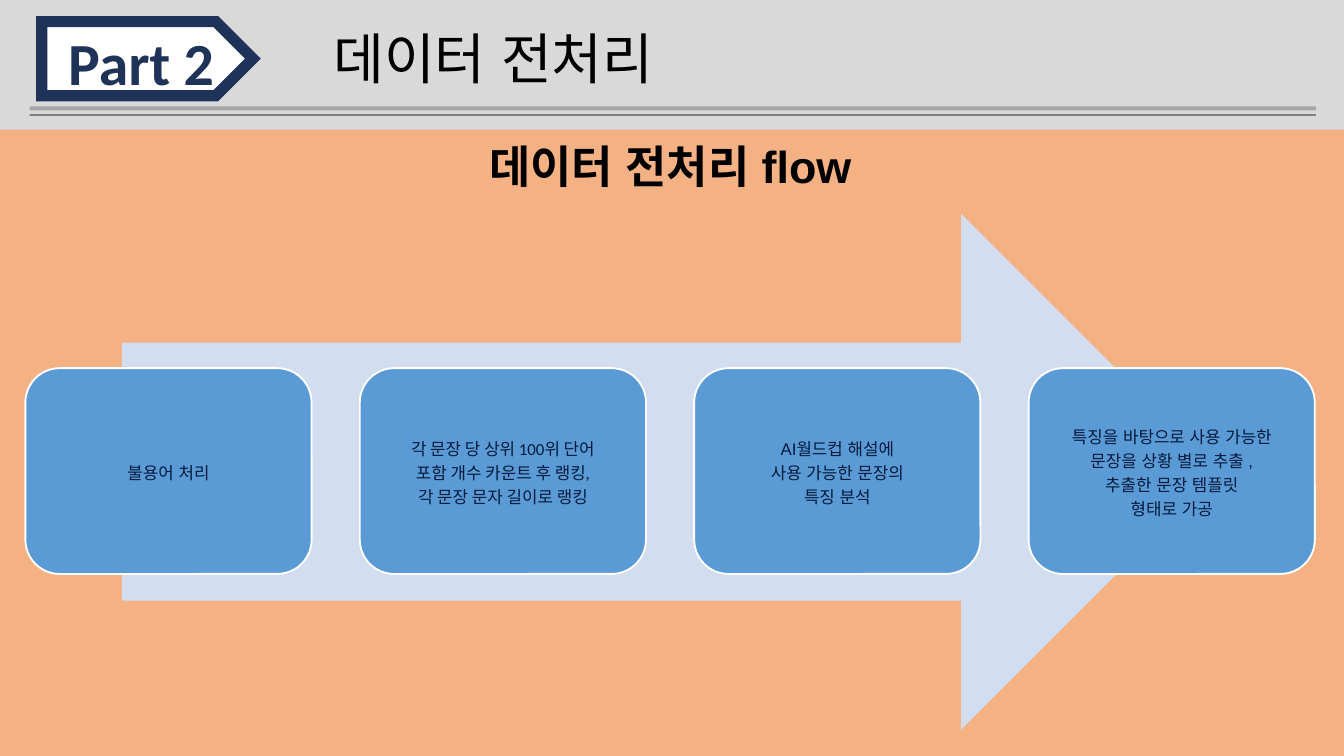
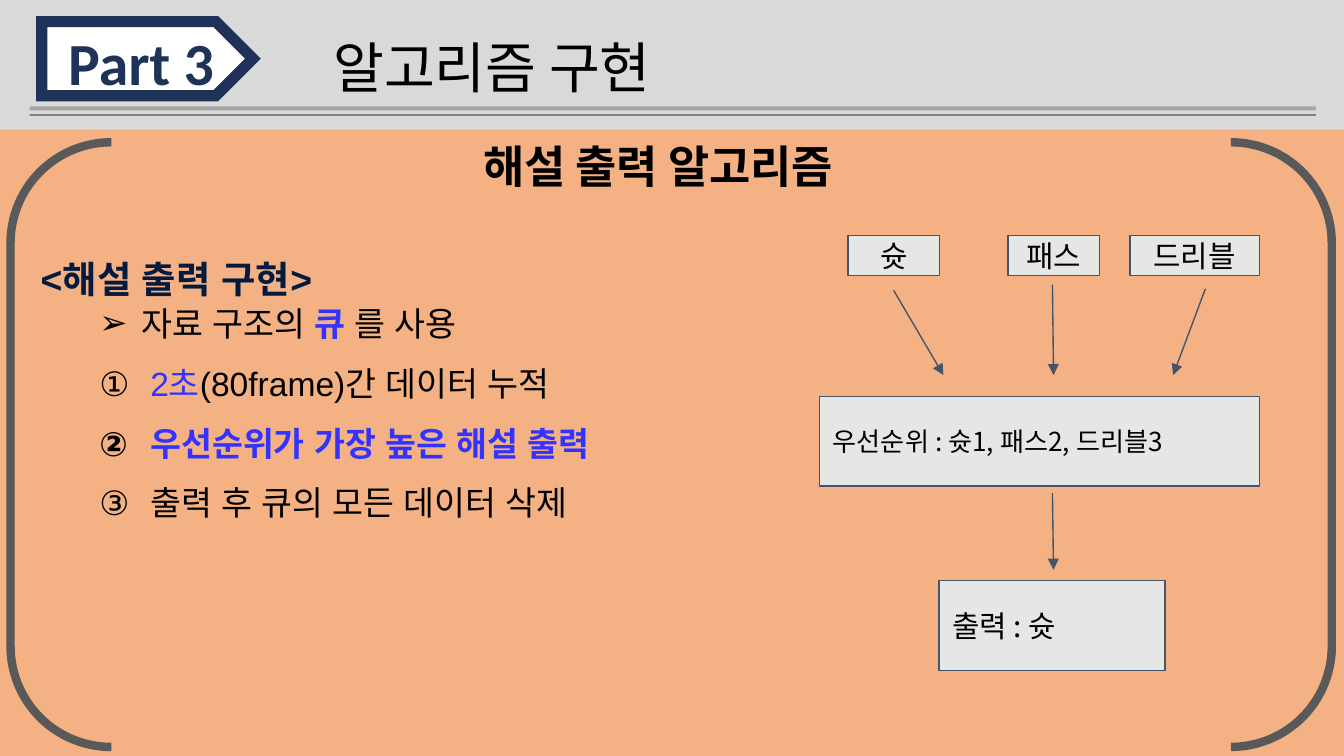
from lxml import etree
from pptx import Presentation
from pptx.dml.color import RGBColor
from pptx.enum.shapes import MSO_CONNECTOR, MSO_SHAPE
from pptx.enum.text import MSO_ANCHOR, MSO_AUTO_SIZE, PP_ALIGN
from pptx.oxml.ns import qn
from pptx.util import Cm, Pt

RECT, ROUNDED = MSO_SHAPE.RECTANGLE, MSO_SHAPE.ROUNDED_RECTANGLE
PENTAGON, BRACKETS = MSO_SHAPE.PENTAGON, MSO_SHAPE.DOUBLE_BRACKET
ARROW, STRAIGHT = MSO_SHAPE.RIGHT_ARROW, MSO_CONNECTOR.STRAIGHT
TOP, MIDDLE = MSO_ANCHOR.TOP, MSO_ANCHOR.MIDDLE
LEFT, CENTER = PP_ALIGN.LEFT, PP_ALIGN.CENTER
NO_AUTOFIT = MSO_AUTO_SIZE.NONE

GRAY, PEACH, NAVY, INK = "D9D9D9", "F4B183", "1F3359", "041A3E"
BLACK, WHITE, BLUE, SLATE = "000000", "FFFFFF", "3333FF", "44546A"
ARIAL, CALIBRI, NOTO = "Arial", "Calibri", "Noto Sans CJK KR"

WIDTH, HEIGHT, BAND_TOP = 25.4, 14.29, 2.45
RULES = [(2.01, 0.08, "A6A6A6"), (2.16, 0.03, "808080")]

PREPROCESSING = {
    "part": "Part 2", "title": "데이터 전처리", "title_font": ARIAL,
    "title_top": 0.58, "title_height": 1.37, "title_spacing": 0.8,
    "heading": "데이터 전처리 flow", "heading_font": ARIAL, "heading_left": 2.79,
}
ALGORITHM = {
    "part": "Part 3", "title": "알고리즘 구현", "title_font": CALIBRI,
    "title_top": 0.84, "title_height": 1.17, "title_spacing": 0.7,
    "heading": "해설 출력 알고리즘", "heading_font": CALIBRI, "heading_left": 2.56,
}

STEPS = [
    (ARIAL, ["불용어 처리"]),
    (CALIBRI, ["각 문장 당 상위 100위 단어", "포함 개수 카운트 후 랭킹,", "각 문장 문자 길이로 랭킹"]),
    (ARIAL, ["AI월드컵 해설에", "사용 가능한 문장의", "특징 분석"]),
    (ARIAL, ["특징을 바탕으로 사용 가능한", "문장을 상황 별로 추출 ,", "추출한 문장 템플릿", "형태로 가공"]),
]
STEP_LEFT, STEP_PITCH = 0.48, 6.32

IMPLEMENTATION = [
    (None, [("<해설 출력 구현>", INK, True)]),
    ("➢", [("자료 구조의 ", BLACK, False), ("큐 ", BLUE, True), ("를 사용", BLACK, False)]),
    ("number", [("2초", BLUE, False), ("(80frame)간 데이터 누적", BLACK, False)]),
    ("number", [("우선순위가 가장 높은 해설 출력", BLUE, True)]),
    ("number", [("출력 후 큐의 모든 데이터 삭제", BLACK, False)]),
]
LIST_STYLES = {
    None: (0, 0, 20, 23),
    "➢": (1.9, -0.79, 18, 23),
    "number": (2.07, -0.96, 18, 32),
}

FLOW_BOXES = [
    ("슛", 16.03, 4.45, 1.73, 0.76, 16, CENTER),
    ("패스", 19.05, 4.45, 1.73, 0.76, 16, CENTER),
    ("드리블", 21.36, 4.45, 2.44, 0.76, 16, CENTER),
    ("우선순위 : 슛1, 패스2, 드리블3", 15.49, 7.49, 8.31, 1.7, 14, LEFT),
    ("출력 : 슛", 17.75, 10.97, 4.27, 1.7, 16, LEFT),
]
FLOW_ARROWS = [
    (16.89, 5.49, 17.83, 7.09),
    (19.89, 5.38, 19.91, 7.09),
    (22.78, 5.46, 22.17, 7.09),
    (19.89, 9.32, 19.91, 10.77),
]


def rgb(color):
    return RGBColor.from_string(color)


def add_xml(parent, tag, **attributes):
    return etree.SubElement(parent, qn(tag), attributes)


def place(shape, left, top, width, height):
    shape.left, shape.top = Cm(left), Cm(top)
    shape.width, shape.height = Cm(width), Cm(height)


def style_run(run, font, size, color, bold=False):
    run.font.size, run.font.bold, run.font.name = Pt(size), bold, font
    run.font.color.rgb = rgb(color)
    add_xml(run._r.get_or_add_rPr(), "a:ea", typeface=font)


def write(shape, text, font, size, color, bold=False, align=LEFT, spacing=None):
    shape.text_frame.text = text
    for paragraph in shape.text_frame.paragraphs:
        paragraph.alignment = align
        paragraph.line_spacing = spacing
        for run in paragraph.runs:
            style_run(run, font, size, color, bold)


def add_block(slide, kind, box, fill=None, line=None, line_width=0.75):
    block = slide.shapes.add_shape(kind, *map(Cm, box))
    block.shadow.inherit = False
    if fill:
        block.fill.solid()
        block.fill.fore_color.rgb = rgb(fill)
    else:
        block.fill.background()
    if line:
        block.line.color.rgb = rgb(line)
        block.line.width = Pt(line_width)
    else:
        block.line.fill.background()
    return block


def set_frame(shape, anchor, side=0.25, edge=0.13, wrap=True):
    frame = shape.text_frame
    frame.word_wrap, frame.auto_size, frame.vertical_anchor = wrap, NO_AUTOFIT, anchor
    frame.margin_left = frame.margin_right = Cm(side)
    frame.margin_top = frame.margin_bottom = Cm(edge)


def add_label(slide, box, text, font, size, color, align, wrap=True):
    label = slide.shapes.add_textbox(*map(Cm, box))
    set_frame(label, TOP, wrap=wrap)
    write(label, text, font, size, color, True, align)


def add_page(prs, layout, content):
    slide = prs.slides.add_slide(prs.slide_layouts[layout])
    slide.background.fill.solid()
    slide.background.fill.fore_color.rgb = rgb(GRAY)
    for top, height, color in RULES:
        add_block(slide, RECT, (0.56, top, 24.31, height), color)
    add_block(slide, RECT, (0, BAND_TOP, WIDTH, HEIGHT - BAND_TOP), PEACH)

    title = slide.shapes.title
    place(title, 6.05, content["title_top"], 18.24, content["title_height"])
    set_frame(title, TOP)
    write(title, content["title"], content["title_font"], 29.6, BLACK,
          spacing=content["title_spacing"])

    badge = add_block(slide, PENTAGON, (0.79, 0.41, 3.99, 1.4), WHITE, NAVY, 6)
    add_xml(badge.line._get_or_add_ln(), "a:miter", lim="800000")
    add_label(slide, (1.04, 0.35, 3.3, 1.63), content["part"], CALIBRI, 32, NAVY, LEFT, False)
    add_label(slide, (content["heading_left"], 2.49, 19.76, 1.27), content["heading"],
              content["heading_font"], 24, BLACK, CENTER)
    return slide


def add_steps(slide):
    add_block(slide, ARROW, (2.31, 4.04, 20.73, 9.75), "D2DEEF")
    for index, (font, lines) in enumerate(STEPS):
        box = (STEP_LEFT + index * STEP_PITCH, 6.96, 5.41, 3.89)
        card = add_block(slide, ROUNDED, box, "5B9BD5", WHITE, 1)
        set_frame(card, MIDDLE, 0.1, 0.1)
        write(card, "\n".join(lines), font, 9, INK, align=CENTER, spacing=Pt(12.9))


def add_bullet(paragraph, marker):
    left, indent, _, _ = LIST_STYLES[marker]
    properties = paragraph._p.get_or_add_pPr()
    properties.set("marL", str(Cm(left)))
    properties.set("indent", str(Cm(indent)))
    if marker is None:
        add_xml(properties, "a:buNone")
        return
    add_xml(add_xml(properties, "a:buClr"), "a:srgbClr", val=BLACK)
    add_xml(properties, "a:buFont", typeface=ARIAL)
    if marker == "number":
        add_xml(properties, "a:buAutoNum", type="circleNumDbPlain")
    else:
        add_xml(properties, "a:buChar", char=marker)


def add_implementation(slide):
    body = slide.placeholders[1]
    slide.shapes._spTree.append(body._element)
    place(body, 0.77, 4.87, 14, 5.5)
    set_frame(body, TOP, 0, 0)
    frame = body.text_frame
    for index, (marker, parts) in enumerate(IMPLEMENTATION):
        paragraph = frame.add_paragraph() if index else frame.paragraphs[0]
        add_bullet(paragraph, marker)
        _, _, size, pitch = LIST_STYLES[marker]
        paragraph.alignment = LEFT
        paragraph.space_before = paragraph.space_after = Pt(0)
        paragraph.line_spacing = Pt(pitch)
        for text, color, bold in parts:
            run = paragraph.add_run()
            run.text = text
            style_run(run, ARIAL, size, color, bold)


def add_flow(slide):
    for text, left, top, width, height, size, align in FLOW_BOXES:
        node = add_block(slide, RECT, (left, top, width, height), "E7E6E6", SLATE)
        set_frame(node, MIDDLE, edge=0)
        write(node, text, NOTO, size, BLACK, align=align)
    for ends in FLOW_ARROWS:
        arrow = slide.shapes.add_connector(STRAIGHT, *map(Cm, ends))
        arrow.line.color.rgb = rgb(SLATE)
        arrow.line.width = Pt(0.75)
        add_xml(arrow.line._get_or_add_ln(), "a:tailEnd", type="triangle")
        add_xml(arrow._element.spPr, "a:effectLst")


def main():
    prs = Presentation()
    prs.slide_width, prs.slide_height = Cm(WIDTH), Cm(HEIGHT)

    add_steps(add_page(prs, 5, PREPROCESSING))

    algorithm = add_page(prs, 1, ALGORITHM)
    add_block(algorithm, BRACKETS, (0.2, 2.69, 24.97, 11.43), line="595959", line_width=4.5)
    add_implementation(algorithm)
    add_flow(algorithm)

    prs.save("out.pptx")


if __name__ == "__main__":
    main()
